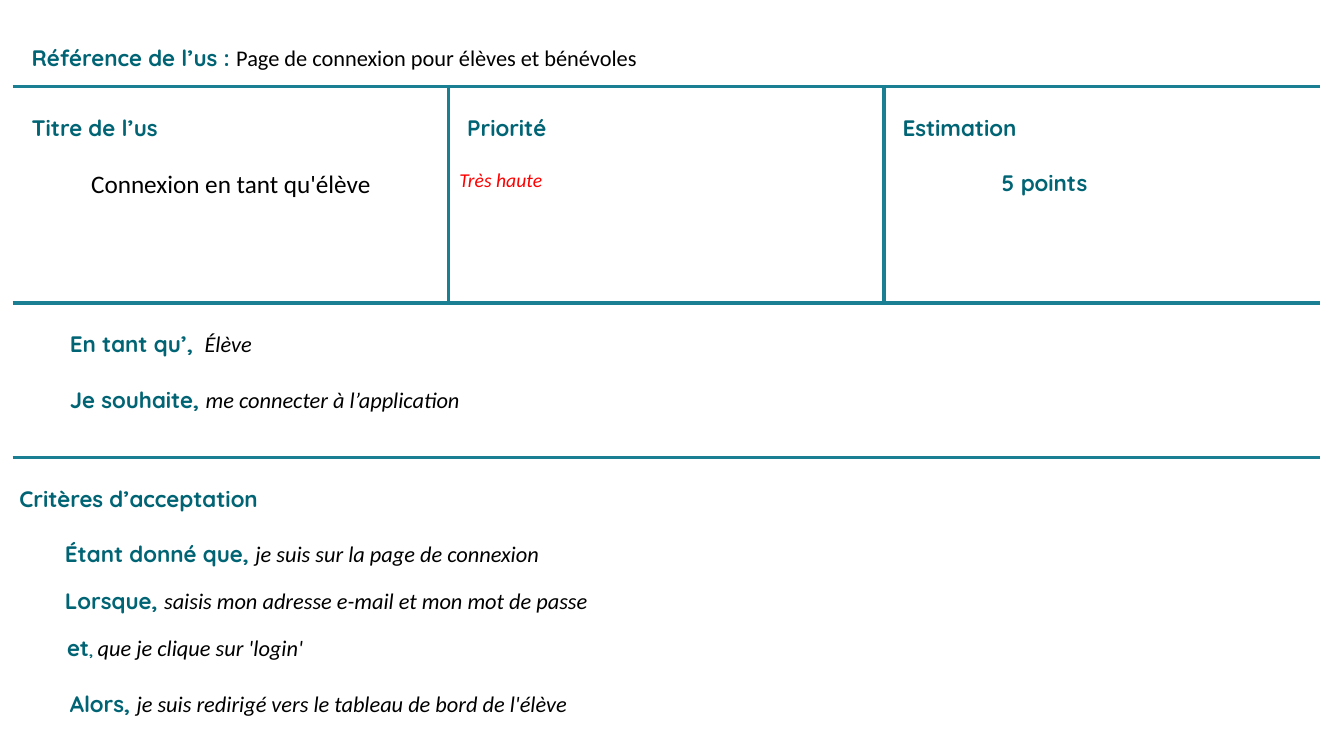
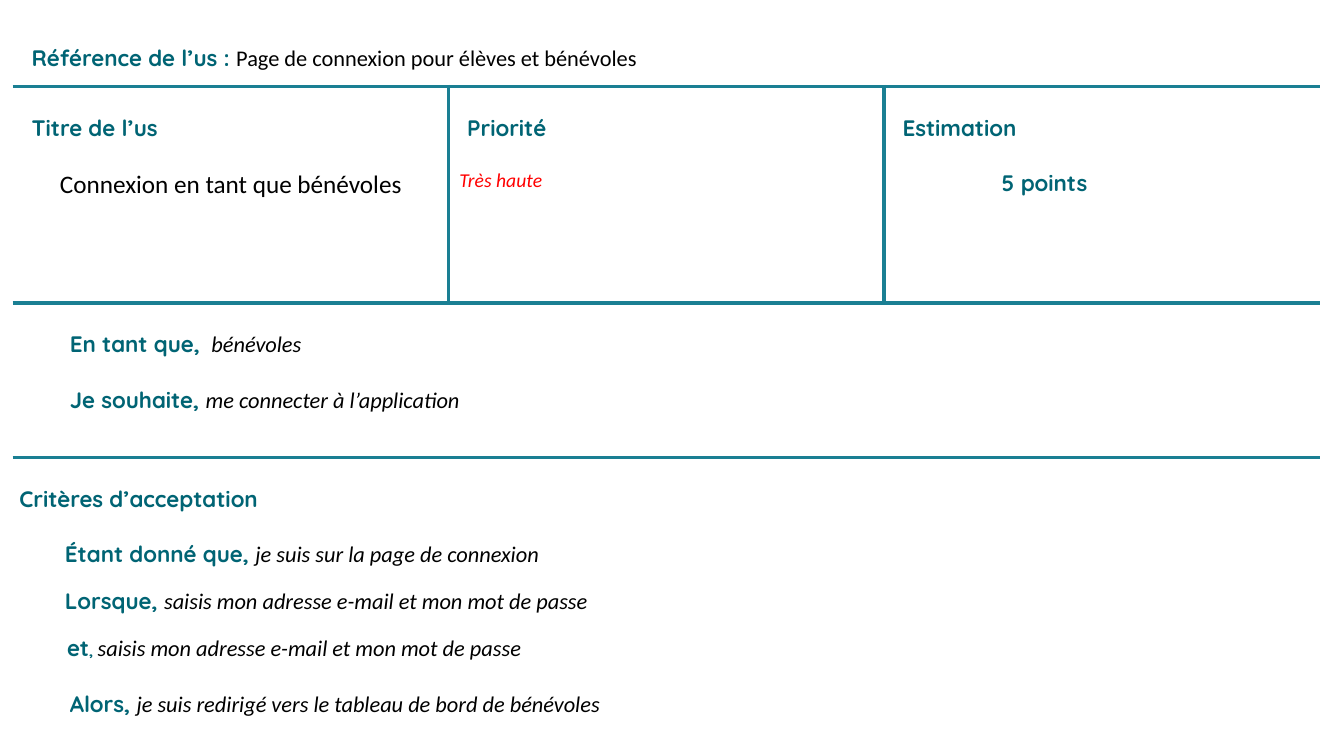
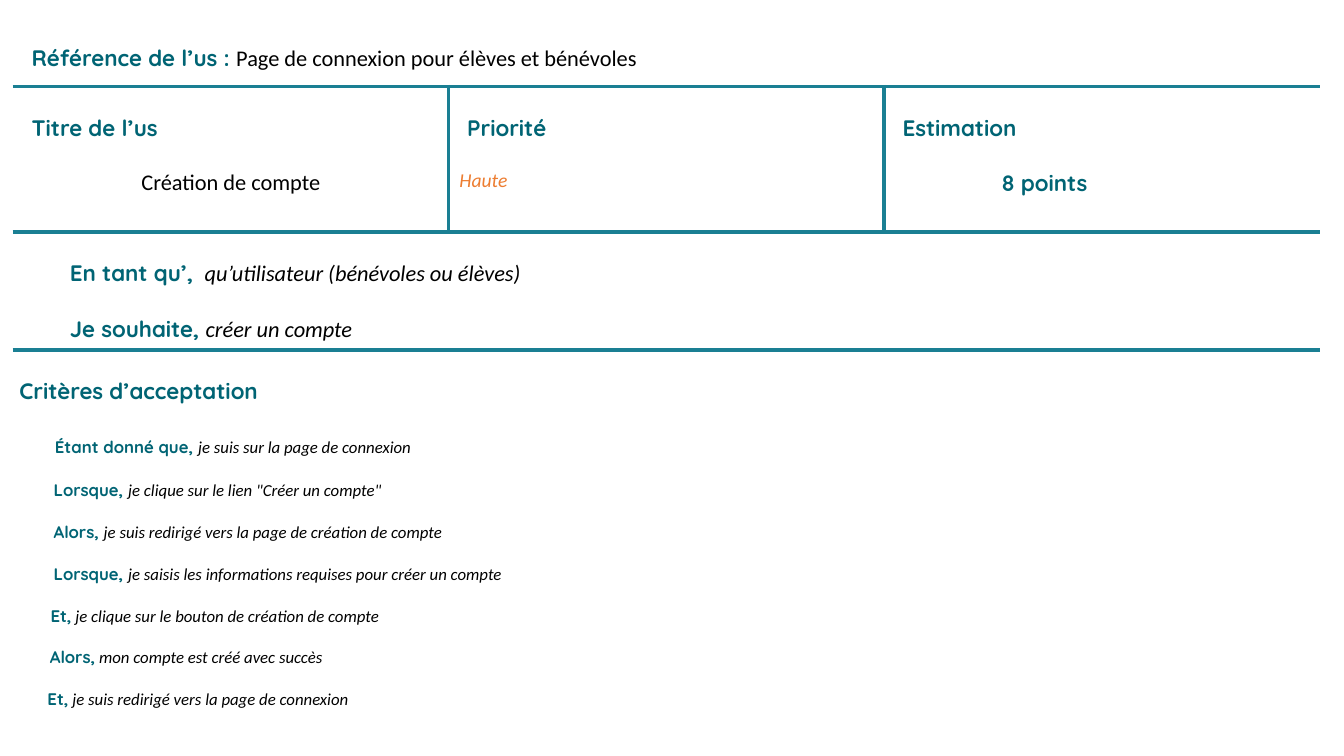
import pptx
import pptx.dml.color
import pptx.enum.text
import pptx.oxml
import pptx.oxml.ns
import pptx.util

Pt = pptx.util.Pt
COLORS = {"teal": "006474", "rule": "1A7F93", "text": "000000",
          "red": "FF0000", "orange": "ED7D31", "paper": "FFFFFF"}
HEAD, BODY = "Quicksand", "Calibri"
TOP = 19.5      # space above the first line of a cell
GAP = 19.5      # space between two spread lines
BOX = (9.4, 12.2, 933.1)    # left, top, width
SIDE = 4.5


def rgb(name):
    """Return a colour of the palette."""
    return pptx.dml.color.RGBColor.from_string(COLORS[name])


def head(text, size=16):
    """Describe a bold label run."""
    return text, HEAD, size, "teal", True, False


def plain(text, size=16):
    """Describe an upright text run."""
    return text, BODY, size, "text", False, False


def note(text, size=16, color="text"):
    """Describe an italic text run."""
    return text, BODY, size, color, False, True


def write(cell, lines):
    """Fill a cell with lines of (space before, indent, runs)."""
    frame = cell.text_frame
    for at, (gap, indent, runs) in enumerate(lines):
        para = frame.add_paragraph() if at else frame.paragraphs[0]
        para.space_before = Pt(gap)
        props = para._p.get_or_add_pPr()
        props.set("marL", str(Pt(indent)))
        props.set("indent", "0")
        for text, face, size, color, bold, slant in runs:
            run = para.add_run()
            run.text = text
            font = run.font
            font.name, font.size = face, Pt(size)
            font.bold, font.italic = bold, slant
            font.color.rgb = rgb(color)


def border(cell, sides):
    """Draw rules on the given sides of a cell, in the order L, R, T, B."""
    props = cell._tc.get_or_add_tcPr()
    for at, side in enumerate(sides):
        line = pptx.oxml.parse_xml(
            f'<a:ln{side} {pptx.oxml.ns.nsdecls("a")} w="{Pt(3)}"><a:solidFill>'
            f'<a:srgbClr val="{COLORS["rule"]}"/></a:solidFill></a:ln{side}>')
        props.insert(at, line)


def grid(slide, box, heights):
    """Add the ruled table of four rows and three columns in a box."""
    left, top, width, height = box
    frame = slide.shapes.add_table(4, 3, Pt(left), Pt(top), Pt(width), Pt(height))
    table = frame.table
    table.first_row = table.horz_banding = False
    for col in table.columns:
        col.width = Pt(width / 3)
    for row, tall in zip(table.rows, heights + [height - sum(heights)]):
        row.height = Pt(tall)
    for r in range(4):
        for c in range(3):
            cell = table.cell(r, c)
            cell.margin_left = cell.margin_right = Pt(SIDE)
            cell.margin_top, cell.margin_bottom = Pt(TOP), 0
            cell.fill.solid()
            cell.fill.fore_color.rgb = rgb("paper")
            facts = r == 1
            drawn = {"L": facts and c > 0, "R": facts and c < 2,
                     "T": r > 0, "B": r < 3}
            border(cell, [side for side in drawn if drawn[side]])
        if r != 1:
            table.cell(r, 0).merge(table.cell(r, 2))
    return table


def facts(table, title, rank, points):
    """Write the title, rank and points of the story in the second row."""
    values = [("Titre de l’us", 0, title), ("Priorité", 3.2, rank),
              ("Estimation", 79.5, head(points))]
    for c, (label, indent, value) in enumerate(values):
        write(table.cell(1, c), [(0, 8.8, [head(label)]), (GAP, indent, [value])])
    name = table.cell(1, 0).text_frame.paragraphs[1]
    name.alignment = pptx.enum.text.PP_ALIGN.CENTER


def wish(cell, role, who, goal):
    """Write who wants what."""
    write(cell, [(0, 36, [head(role), note("\u00a0" + who)]),
                 (GAP, 36, [head("Je souhaite, "), note(goal)])])


def tests(cell, steps):
    """Write the heading and the steps that must hold."""
    write(cell, [(0, 0, [head("Critères d’acceptation")])] + steps)


def login(result, act):
    """Return the four steps of a login story."""
    return [
        (GAP, 32.5, [head("Étant donné que, "), note("je suis sur la page de connexion")]),
        (13.4, 32.5, [head("Lorsque, "),
                      note("saisis mon adresse e-mail et mon mot de passe")]),
        (13.4, 34, [head("et"), head(", ", 11), note(act)]),
        (GAP, 36, [head("Alors, "), note(result)])]


def signup():
    """Return the small steps of the sign-up story."""
    steps = [
        (22.7, 25.3, "Étant donné que, ", "je suis sur la page de connexion"),
        (15.8, 24.4, "Lorsque, ", 'je clique sur le lien "Créer un compte"'),
        (14.6, 24.4, "Alors, ", "je suis redirigé vers la page de création de compte"),
        (14.6, 24.4, "Lorsque, ",
         "je saisis les informations requises pour créer un compte"),
        (14.6, 22.2, "Et,", " je clique sur le bouton de création de compte"),
        (14.6, 21.7, "Alors,", " mon compte est créé avec succès"),
        (14.6, 20, "Et,", " je suis redirigé vers la page de connexion")]
    return [(gap, indent, [head(label, 12), note(text, 12)])
            for gap, indent, label, text in steps]


def story(deck, height, heights, fact, want, steps):
    """Add one story slide."""
    slide = deck.slides.add_slide(deck.slide_layouts[6])
    table = grid(slide, (*BOX, height), heights)
    write(table.cell(0, 0), [(0, 8.8, [
        head("Référence de l’us\u00a0: "),
        plain("Page de connexion pour élèves et bénévoles")])])
    facts(table, *fact)
    wish(table.cell(2, 0), *want)
    tests(table.cell(3, 0), steps)


def main():
    """Build and save the deck."""
    deck = pptx.Presentation()
    deck.slide_width, deck.slide_height = Pt(960), Pt(540)
    tall, short = [49.7, 154.8, 110.2], [49.7, 103.7, 84.2]
    urgent = note("Très haute", 14, "red")
    join = "me connecter à l’application"
    story(deck, 496.8, tall,
          (plain("Connexion en tant qu'élève", 18), urgent, "5 points"),
          ("En tant qu’, ", "Élève", join),
          login("je suis redirigé vers le tableau de bord de l'élève",
                "que je clique sur 'login'"))
    story(deck, 496.8, tall,
          (plain("Connexion en tant que bénévoles", 18), urgent, "5 points"),
          ("En tant que, ", "bénévoles", join),
          login("je suis redirigé vers le tableau de bord de bénévoles",
                "saisis mon adresse e-mail et mon mot de passe"))
    story(deck, 488.9, short,
          (plain("Création de compte"), note("Haute", 14, "orange"), "8 points"),
          ("En tant qu’, ", "qu’utilisateur (bénévoles ou élèves)", "créer un compte"),
          signup())
    deck.save("out.pptx")


main()
